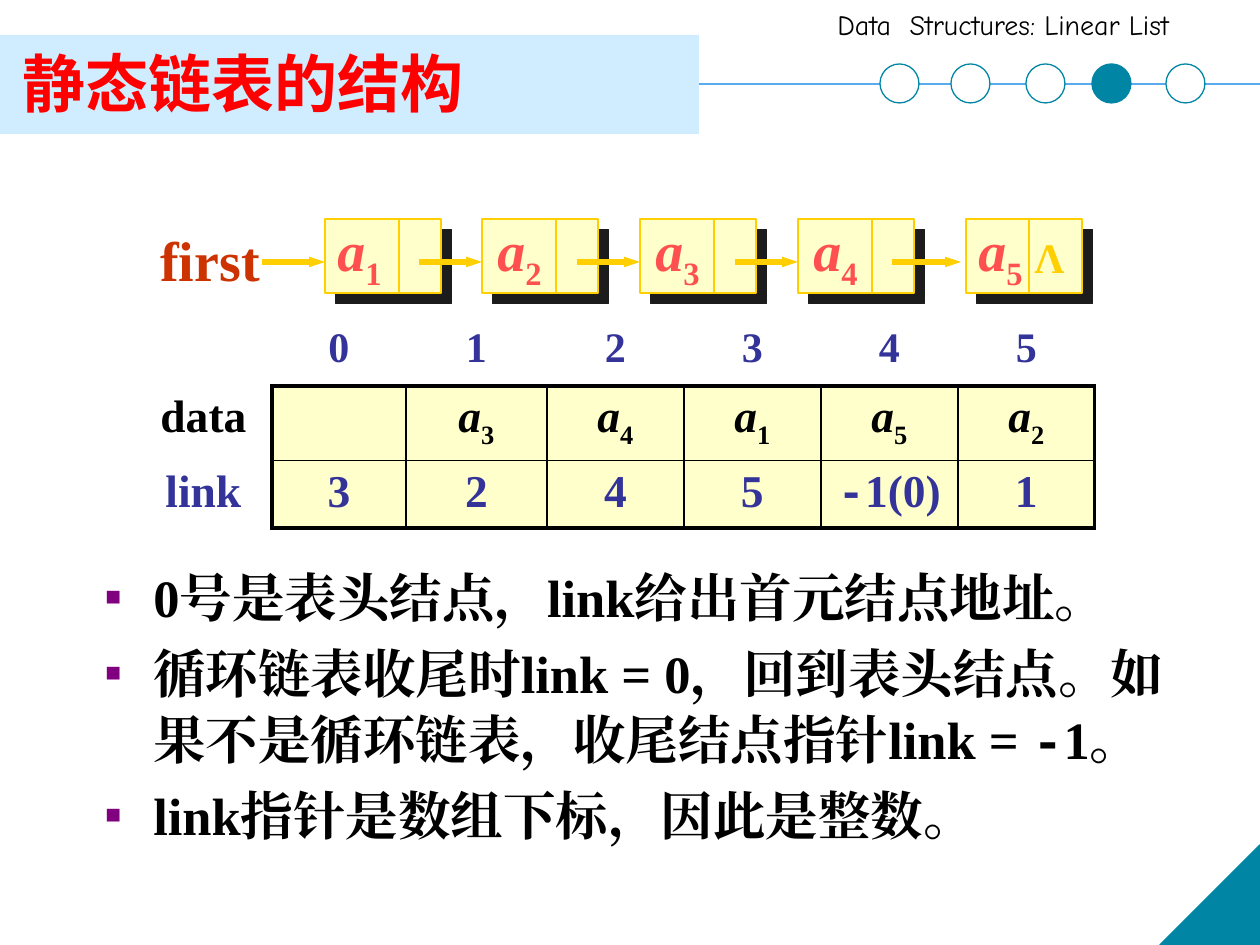
from lxml.etree import SubElement
from pptx import Presentation
from pptx.dml.color import RGBColor
from pptx.enum.shapes import MSO_CONNECTOR, MSO_SHAPE
from pptx.enum.text import MSO_ANCHOR, PP_ALIGN
from pptx.oxml import parse_xml
from pptx.oxml.ns import nsdecls, qn
from pptx.util import Pt

EMU_PER_PX = 914400 / 126
SERIF, MONO, COMIC, SANS = "Times New Roman", "Courier New", "Comic Neue", "Noto Sans CJK SC"
BLACK = RGBColor(0x00, 0x00, 0x00)
WHITE = RGBColor(0xFF, 0xFF, 0xFF)
TEAL = RGBColor(0x00, 0x85, 0xA4)
SKY = RGBColor(0x5A, 0xAA, 0xED)
PALE_BLUE = RGBColor(0xCF, 0xED, 0xFE)
RED = RGBColor(0xFF, 0x00, 0x00)
CREAM = RGBColor(0xFF, 0xFF, 0xCC)
GOLD = RGBColor(0xFF, 0xCF, 0x01)
CORAL = RGBColor(0xFF, 0x50, 0x50)
RUST = RGBColor(0xCC, 0x33, 0x00)
INDIGO = RGBColor(0x33, 0x33, 0x99)


def px(*lengths):
    """Turn pixel lengths into EMU."""
    return [round(length * EMU_PER_PX) for length in lengths]


def write(paragraph, parts, color, size, name=SERIF, bold=True):
    """Add text parts, each a string or a (string, format) pair."""
    for part in parts:
        text, extra = (part, {}) if isinstance(part, str) else part
        style = {"name": name, "size": Pt(size), "bold": bold, "italic": False, **extra}
        lowered = style.pop("subscript", False)
        run = paragraph.add_run()
        run.text = text
        for key, value in style.items():
            setattr(run.font, key, value)
        run.font.color.rgb = color
        properties = run.font._element
        SubElement(properties, qn("a:ea")).set("typeface", style["name"])
        if lowered:
            properties.set("baseline", "-25000")


def indexed(letter, index):
    """Return the parts of an italic letter with a subscript."""
    return [(letter, {"italic": True}), (str(index), {"subscript": True})]


def add_label(slide, box, parts, color, size, wrap=False, anchor=MSO_ANCHOR.TOP, **style):
    """Add a one-line text box."""
    frame = slide.shapes.add_textbox(*px(*box)).text_frame
    for key, value in {"word_wrap": wrap, "vertical_anchor": anchor}.items():
        setattr(frame, key, value)
    write(frame.paragraphs[0], parts, color, size, **style)


def add_block(slide, kind, box, fill, outline=None):
    """Add a filled preset shape without a shadow."""
    block = slide.shapes.add_shape(kind, *px(*box))
    block.shadow.inherit = False
    block.fill.solid()
    block.fill.fore_color.rgb = fill
    if outline is None:
        block.line.fill.background()
    else:
        block.line.color.rgb = outline
        block.line.width = Pt(0.75)
    return block


def add_line(slide, ends, color, width, arrow=False):
    """Add a straight line, with an arrowhead at its end on request."""
    line = slide.shapes.add_connector(MSO_CONNECTOR.STRAIGHT, *px(*ends))
    line.line.color.rgb = color
    line.line.width = Pt(width)
    SubElement(line._element.spPr, qn("a:effectLst"))
    if arrow:
        head = SubElement(line.line._get_or_add_ln(), qn("a:tailEnd"))
        for key, value in {"type": "triangle", "w": "sm", "len": "med"}.items():
            head.set(key, value)


def add_header(slide, left, top, width, height):
    """Place the title band, course name, rule and progress circles."""
    band, middle = 699, top + 84
    add_line(slide, (left, middle, left + width, middle), SKY, 1)
    add_label(slide, (left + 825, top + 1, 435, 47), ["Data  Structures: Linear List"],
              BLACK, 16, wrap=True, name=COMIC, bold=False)
    add_block(slide, MSO_SHAPE.RECTANGLE, (left, top + 35, band, height - 35), PALE_BLUE)
    add_label(slide, (left + 10, top + 55, 1134, 71), ["静态链表的结构"], RED, 36,
              wrap=True, anchor=MSO_ANCHOR.BOTTOM, name=SANS)
    for number, offset in enumerate((880, 951, 1026, 1092, 1166)):
        add_block(slide, MSO_SHAPE.OVAL, (left + offset, middle - 20, 39, 39),
                  TEAL if number == 3 else WHITE, TEAL)


def add_corner(slide, left, top, width, height):
    """Place the triangle in the bottom right corner."""
    corner = add_block(slide, MSO_SHAPE.RIGHT_TRIANGLE, (left, top, width, height), TEAL, TEAL)
    corner._element.spPr.find(qn("a:xfrm")).set("flipH", "1")


def add_node(slide, left, top, width, height, index, divider, arrow):
    """Place one list node with its shadow, divider and incoming arrow."""
    node = add_block(slide, MSO_SHAPE.RECTANGLE, (left, top, width, height), CREAM, GOLD)
    effects = node._element.spPr.find(qn("a:effectLst"))
    effects.append(parse_xml(
        f'<a:outerShdw {nsdecls("a")} dist="107950" dir="2700000" algn="ctr" rotWithShape="0">'
        '<a:srgbClr val="1C1C1C"/></a:outerShdw>'))
    add_line(slide, (left + divider, top, left + divider, top + height), GOLD, 0.75)
    start, end = arrow
    add_line(slide, (left + start, top + 43, left + end, top + 43), GOLD, 3, arrow=True)
    inset = 0 if index in (1, 5) else 3
    add_label(slide, (left + inset, top - 10, 72, 79), indexed("a", index), CORAL, 32)


def add_linked_list(slide, left, top, width, height):
    """Place the chain of nodes after its head pointer."""
    for index, offset in enumerate((177, 334, 492, 650, 818), 1):
        last = index == 5
        add_node(slide, left + offset, top, 116, height, index,
                 63 if last else 74, (-74, -5) if last else (-63, 0))
    add_label(slide, (left + width - 63, top + 6, 68, 63), ["Λ"], GOLD, 24)
    add_label(slide, (left, top, 125, 79), ["first"], RUST, 32)


def border_widths(row, column):
    """Return the left, right, top and bottom border widths of a cell."""
    def upright(edge):
        return 0 if row == 0 or edge == 0 else 2.25 if edge in (1, 7) else 1

    def level(edge):
        return 0 if column == 0 or edge == 0 else 2.25 if edge in (1, 3) else 1

    return {"L": upright(column), "R": upright(column + 1), "T": level(row), "B": level(row + 1)}


def set_borders(cell, widths):
    """Draw the borders of a cell, leaving out those of no width."""
    for position, (side, width) in enumerate(widths.items()):
        paint = '<a:solidFill><a:srgbClr val="000000"/></a:solidFill>' if width else "<a:noFill/>"
        cell._tc.get_or_add_tcPr().insert(position, parse_xml(
            f'<a:ln{side} {nsdecls("a")} w="{Pt(width)}">{paint}</a:ln{side}>'))


def add_array_table(slide, left, top, width, height):
    """Place the array that holds the data and link fields."""
    rows = [
        [[]] + [[str(index)] for index in range(6)],
        [["data"], []] + [indexed("a", index) for index in (3, 4, 1, 5, 2)],
        [["link"], ["3"], ["2"], ["4"], ["5"], [("-", {"name": MONO}), "1(0)"], ["1"]],
    ]
    table = slide.shapes.add_table(3, 7, *px(left, top, width, height)).table
    for key in ("first_row", "horz_banding"):
        setattr(table, key, False)
    for column, size in zip(table.columns, px(137, 134, 141, 137, 137, 137, 137)):
        column.width = size
    for row, contents in enumerate(rows):
        for column, parts in enumerate(contents):
            cell = table.cell(row, column)
            if row and column:
                cell.fill.solid()
                cell.fill.fore_color.rgb = CREAM
            else:
                cell.fill.background()
            set_borders(cell, border_widths(row, column))
            paragraph = cell.text_frame.paragraphs[0]
            paragraph.alignment = PP_ALIGN.CENTER
            write(paragraph, parts, BLACK if row == 1 else INDIGO, 26 if row else 24)


def add_notes_list(slide, left, top, width, height):
    """Place the bulleted remarks."""
    remarks = [
        ["0号是表头结点，link给出首元结点地址。"],
        ["循环链表收尾时link = 0，回到表头结点。如果不是循环链表，收尾结点指针link = ",
         ("-", {"name": MONO}), "1。"],
        ["link指针是数组下标，因此是整数。"],
    ]
    frame = slide.shapes.add_textbox(*px(left, top, width, height)).text_frame
    frame.word_wrap = True
    indent, = px(48)
    for number, parts in enumerate(remarks):
        paragraph = frame.add_paragraph() if number else frame.paragraphs[0]
        properties = paragraph._p.get_or_add_pPr()
        for key, value in {"marL": indent, "indent": -indent}.items():
            properties.set(key, str(value))
        color = SubElement(properties, qn("a:buClr"))
        SubElement(color, qn("a:srgbClr")).set("val", "800080")
        for tag, key, value in (("buSzPct", "val", "50000"), ("buFont", "typeface", SERIF),
                                ("buChar", "char", "■")):
            SubElement(properties, qn(f"a:{tag}")).set(key, value)
        paragraph.line_spacing = 1.05
        if number:
            paragraph.space_before = Pt(5.5)
        write(paragraph, parts, BLACK, 30)


def main():
    """Build the slide and save it."""
    deck = Presentation()
    deck.slide_width, deck.slide_height = px(1260, 945)
    slide = deck.slides.add_slide(deck.slide_layouts[6])
    add_header(slide, 0, 0, 1260, 134)
    add_corner(slide, 1160, 845, 100, 100)
    add_notes_list(slide, 93, 556, 1134, 323)
    add_linked_list(slide, 148, 219, 937, 74)
    add_array_table(slide, 135, 319, 960, 201)
    deck.save("out.pptx")


if __name__ == "__main__":
    main()
